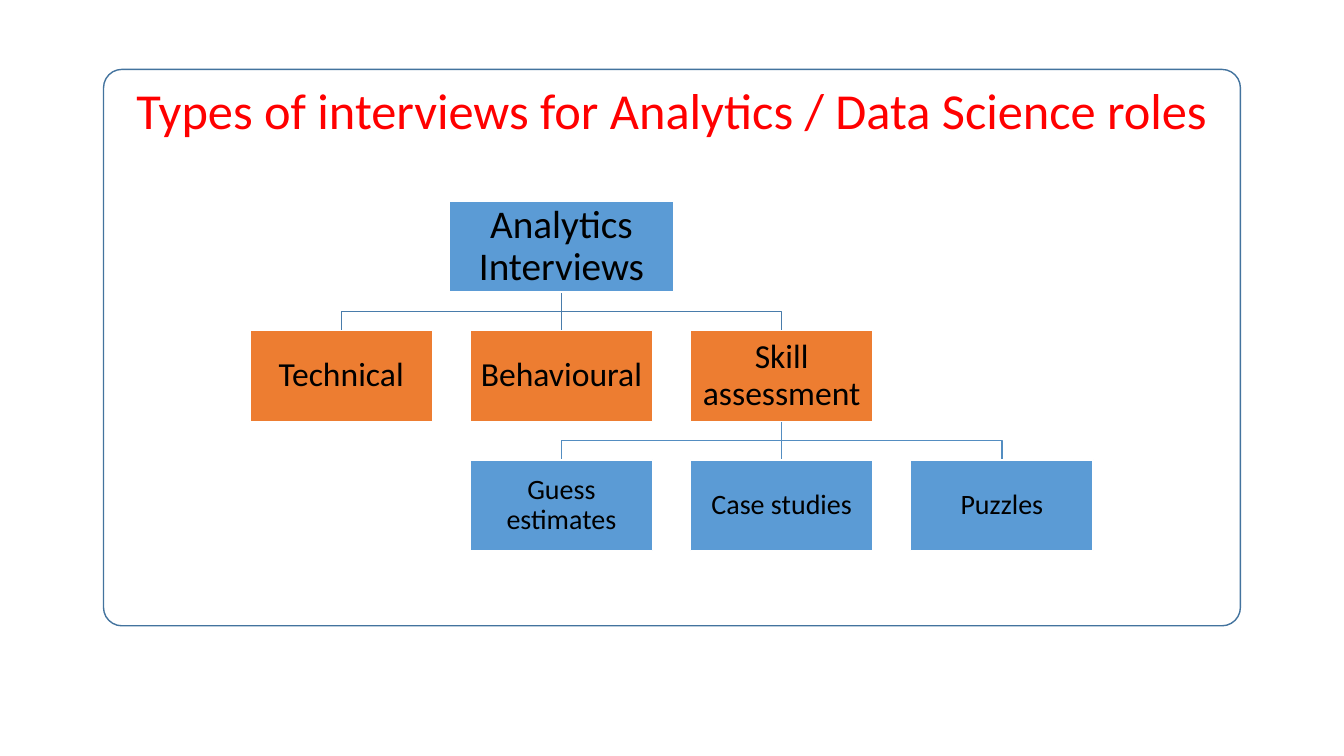
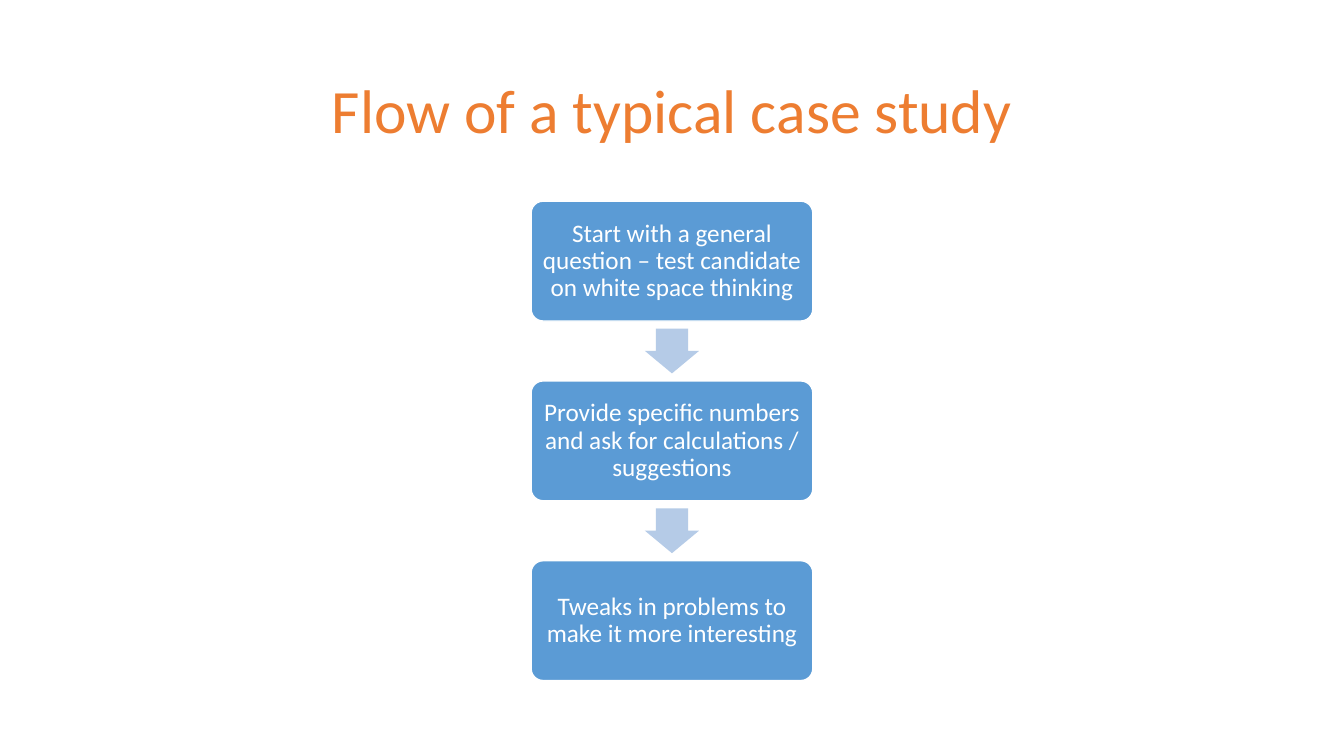
"""Build two slides: a tree of interview types and the flow of a case study."""
from dataclasses import dataclass

from lxml import etree
from pptx import Presentation
from pptx.dml.color import RGBColor
from pptx.enum.shapes import MSO_CONNECTOR, MSO_SHAPE
from pptx.enum.text import MSO_ANCHOR, PP_ALIGN
from pptx.oxml.ns import qn
from pptx.util import Cm, Pt

RECT = MSO_SHAPE.RECTANGLE
ROUND = MSO_SHAPE.ROUNDED_RECTANGLE
ARROW = MSO_SHAPE.DOWN_ARROW
LINE = MSO_CONNECTOR.STRAIGHT
MIDDLE = MSO_ANCHOR.MIDDLE
CENTER = PP_ALIGN.CENTER


@dataclass(frozen=True)
class Theme:
    font: str = "Calibri"
    blue: str = "5B9BD5"
    orange: str = "ED7D31"
    red: str = "FF0000"
    black: str = "000000"
    white: str = "FFFFFF"
    pale: str = "B5CBE7"
    frame: str = "43739E"
    upper: str = "497CAB"
    lower: str = "538DC1"
    title: int = 44
    long: int = 36
    root: int = 28
    branch: int = 24
    leaf: int = 20
    step: int = 18


theme = Theme()


def write(shape, text, size, color, inset=None):
    frame = shape.text_frame
    frame.word_wrap = True
    frame.vertical_anchor = MIDDLE
    if inset is not None:
        frame.margin_left = frame.margin_right = Cm(inset)
        frame.margin_top = frame.margin_bottom = Cm(inset)
    para = frame.paragraphs[0]
    para.alignment = CENTER
    para.line_spacing = 0.9
    run = para.add_run()
    run.text = text
    run.font.name = theme.font
    run.font.size = Pt(size)
    run.font.color.rgb = RGBColor.from_string(color)


def draw(slide, kind, center, top, width, height, fill=None, line=None, adjust=()):
    shape = slide.shapes.add_shape(
        kind, Cm(center - width / 2), Cm(top), Cm(width), Cm(height))
    shape.shadow.inherit = False
    for index, value in enumerate(adjust):
        shape.adjustments[index] = value
    if fill:
        shape.fill.solid()
        shape.fill.fore_color.rgb = RGBColor.from_string(fill)
    else:
        shape.fill.background()
    if line:
        shape.line.color.rgb = RGBColor.from_string(line)
        shape.line.width = Pt(1)
    else:
        shape.line.fill.background()
    return shape


deck = Presentation()
deck.slide_width, deck.slide_height = Cm(33.87), Cm(19.05)
mid = 33.87 / 2
top = 5.07

slides = []
for text, size, color in [
    ("Types of interviews for Analytics / Data Science roles", theme.long, theme.red),
    ("Flow of a typical case study", theme.title, theme.orange),
]:
    slide = deck.slides.add_slide(deck.slide_layouts[5])
    title = slide.shapes.title
    title.left, title.top = Cm(2.33), Cm(1.02)
    title.width, title.height = Cm(29.21), Cm(3.68)
    write(title, text, size, color)
    slides.append(slide)
tree, flow = slides

trunk, pitch, drop, high = 14.15, 5.55, 3.26, 2.29
gap = drop - high
for level, parent, color in [(2, 1, theme.lower), (1, 0, theme.upper)]:
    end = top + level * drop
    start, bend = end - gap, end - gap / 2
    stem = trunk + parent * pitch
    for side in (1, 0, -1):
        spot = stem + side * pitch
        if side:
            path = tree.shapes.build_freeform(Cm(stem), Cm(start))
            path.add_line_segments(
                [(Cm(stem), Cm(bend)), (Cm(spot), Cm(bend)), (Cm(spot), Cm(end))],
                close=False)
            link = path.convert_to_shape()
            link.fill.background()
        else:
            link = tree.shapes.add_connector(
                LINE, Cm(stem), Cm(start), Cm(stem), Cm(end))
        link.line.color.rgb = RGBColor.from_string(color)
        link.line.width = Pt(1)
        etree.SubElement(link.element.spPr, qn("a:effectLst"))

for level, first, width, fill, size, labels in [
    (0, 0, 5.66, theme.blue, theme.root, ["Analytics Interviews"]),
    (1, -1, 4.6, theme.orange, theme.branch,
     ["Technical", "Behavioural", "Skill assessment"]),
    (2, 0, 4.6, theme.blue, theme.leaf,
     ["Guess estimates", "Case studies", "Puzzles"]),
]:
    for column, label in enumerate(labels, first):
        node = draw(tree, RECT, trunk + column * pitch, top + level * drop,
                    width, high, fill, theme.white)
        write(node, label, size, theme.black, inset=0.04)
draw(tree, ROUND, mid, 1.75, 28.65, 14.02, line=theme.frame, adjust=[0.033])

steps = [
    "Start with a general question – test candidate on white space thinking",
    "Provide specific numbers and ask for calculations / suggestions",
    "Tweaks in problems to make it more interesting",
]
pitch, high, tall = 4.53, 3.02, 1.13
for index, label in enumerate(steps):
    place = top + index * pitch
    if index:
        draw(flow, ARROW, mid, place - (pitch - high + tall) / 2, 1.36, tall,
             theme.pale, adjust=[0.6, 0.5])
    card = draw(flow, ROUND, mid, place, 7.1, high, theme.blue, theme.white, [0.1])
    write(card, label, theme.step, theme.white, inset=0.18)

deck.save("out.pptx")
